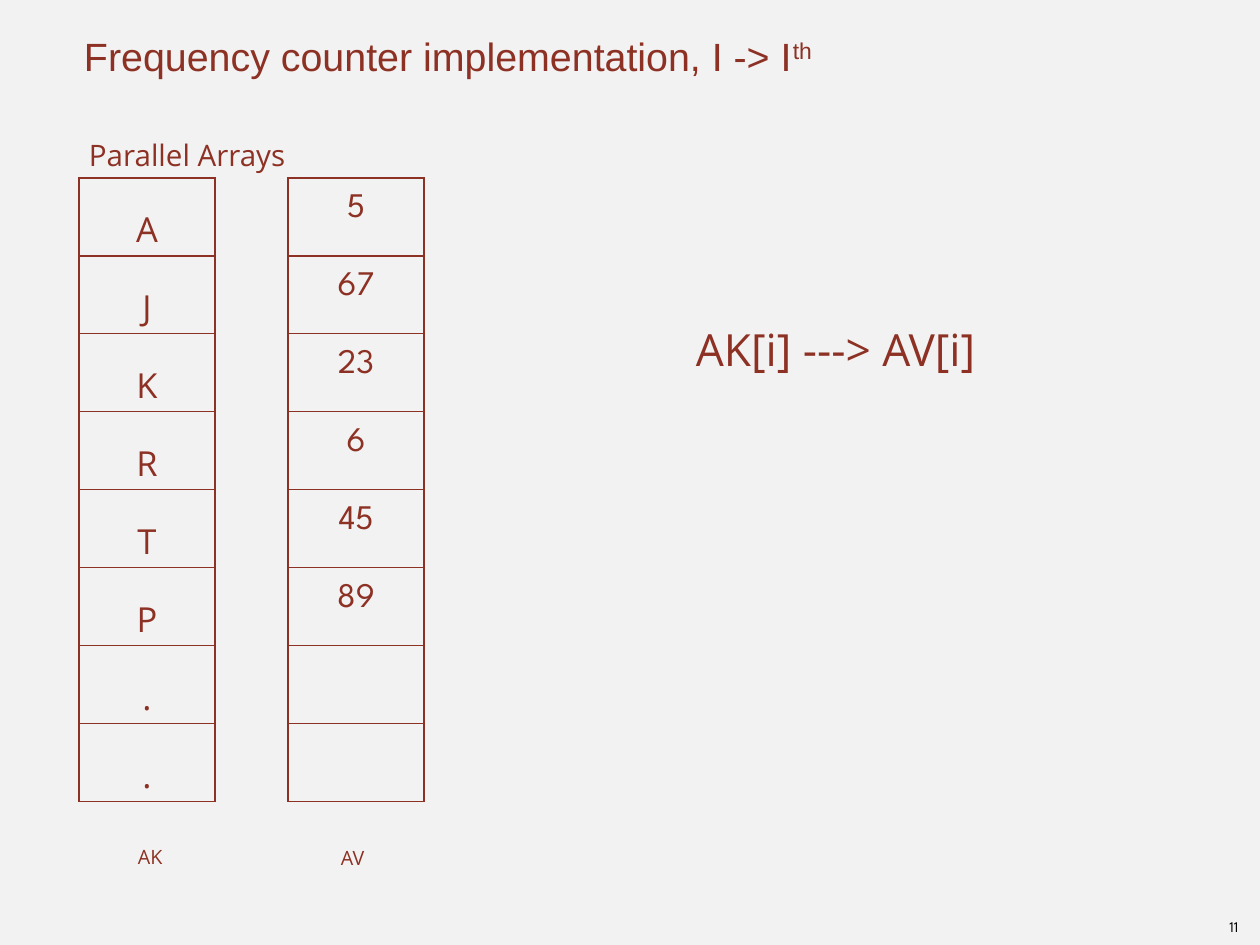
from pptx import Presentation
from pptx.dml.color import RGBColor
from pptx.enum.text import MSO_ANCHOR as ANCHOR, MSO_AUTO_SIZE as AUTO, PP_ALIGN as ALIGN
from pptx.oxml import parse_xml
from pptx.oxml.ns import nsdecls
from pptx.util import Pt

PX = 10321  # EMU per px
RUST = RGBColor(0x8D, 0x31, 0x24)
BLACK = RGBColor(0, 0, 0)
PAPER = RGBColor(0xF2, 0xF2, 0xF2)
INSET = 5


def write(p, text, size, font, color=RUST, align=ALIGN.LEFT, spacing=1.5, indent=INSET):
    p.alignment, p.line_spacing = align, spacing
    pPr = p._p.get_or_add_pPr()
    pPr.set("marL", str(indent * PX))
    pPr.set("indent", "0")
    r = p.add_run()
    r.text = text
    look = {"size": Pt(size), "name": font, "bold": False}
    for key, value in look.items():
        setattr(r.font, key, value)
    r.font.color.rgb = color
    return r


def set_frame(tf, anchor, inset):
    frame = {"word_wrap": True, "auto_size": AUTO.NONE, "vertical_anchor": anchor}
    for side in ("left", "top", "right", "bottom"):
        frame["margin_" + side] = inset * PX
    for key, value in frame.items():
        setattr(tf, key, value)


prs = Presentation()
prs.slide_width, prs.slide_height = 1260 * PX, 945 * PX
s = prs.slides.add_slide(prs.slide_layouts[5])
s.background.fill.solid()
s.background.fill.fore_color.rgb = PAPER

# Title with a superscript ending
title = s.shapes.title
title.left, title.top, title.width, title.height = 79 * PX, 0, 1102 * PX, 79 * PX
set_frame(title.text_frame, ANCHOR.BOTTOM, 0)
p = title.text_frame.paragraphs[0]
for text, raised in (("Frequency counter implementation, I -> I", "0"), ("th", "30000")):
    r = write(p, text, 32, "Arial", spacing=1.0)
    r.font._element.set("baseline", raised)

# Heading, array names, mapping rule and slide number
page_look = {"color": BLACK, "align": ALIGN.CENTER, "spacing": 1.0, "indent": 0}
labels = [
    ("Parallel Arrays", 79, 114, 689, 64, 24, "Open Sans", {}),
    ("AK", 128, 828, 48, 46, 16, "Open Sans", {}),
    ("AV", 331, 829, 48, 46, 16, "Open Sans", {}),
    ("AK[i] ---> AV[i]", 686, 291, 326, 90, 36, "Open Sans", {}),
    ("11", 1219, 913, 30, 28, 12, "League Spartan", page_look),
]
for text, x, y, w, h, size, font, look in labels:
    tf = s.shapes.add_textbox(x * PX, y * PX, w * PX, h * PX).text_frame
    set_frame(tf, ANCHOR.MIDDLE, INSET)
    write(tf.paragraphs[0], text, size, font, **look)

# Parallel arrays of keys and values
ROW_H, COL_W = 78, 136
arrays = [
    (79, ["A", "J", "K", "R", "T", "P", ".", "."], "Open Sans", ANCHOR.MIDDLE),
    (288, ["5", "67", "23", "6", "45", "89", "", ""], "League Spartan", ANCHOR.TOP),
]
for x, items, font, anchor in arrays:
    n = len(items)
    table = s.shapes.add_table(n, 1, x * PX, 178 * PX, COL_W * PX, n * ROW_H * PX).table
    table.first_row = table.horz_banding = False
    for i, item in enumerate(items):
        table.rows[i].height = ROW_H * PX
        cell = table.cell(i, 0)
        cell.vertical_anchor = anchor
        cell.margin_top = cell.margin_bottom = 0
        tcPr = cell._tc.get_or_add_tcPr()
        for edge in "LRTB":
            tcPr.append(parse_xml(
                f'<a:ln{edge} {nsdecls("a")} w="{Pt(1)}"><a:solidFill>'
                f'<a:srgbClr val="{RUST}"/></a:solidFill></a:ln{edge}>'))
        cell.fill.background()
        if item:
            write(cell.text_frame.paragraphs[0], item, 28, font, align=ALIGN.CENTER, indent=0)

prs.save("out.pptx")
